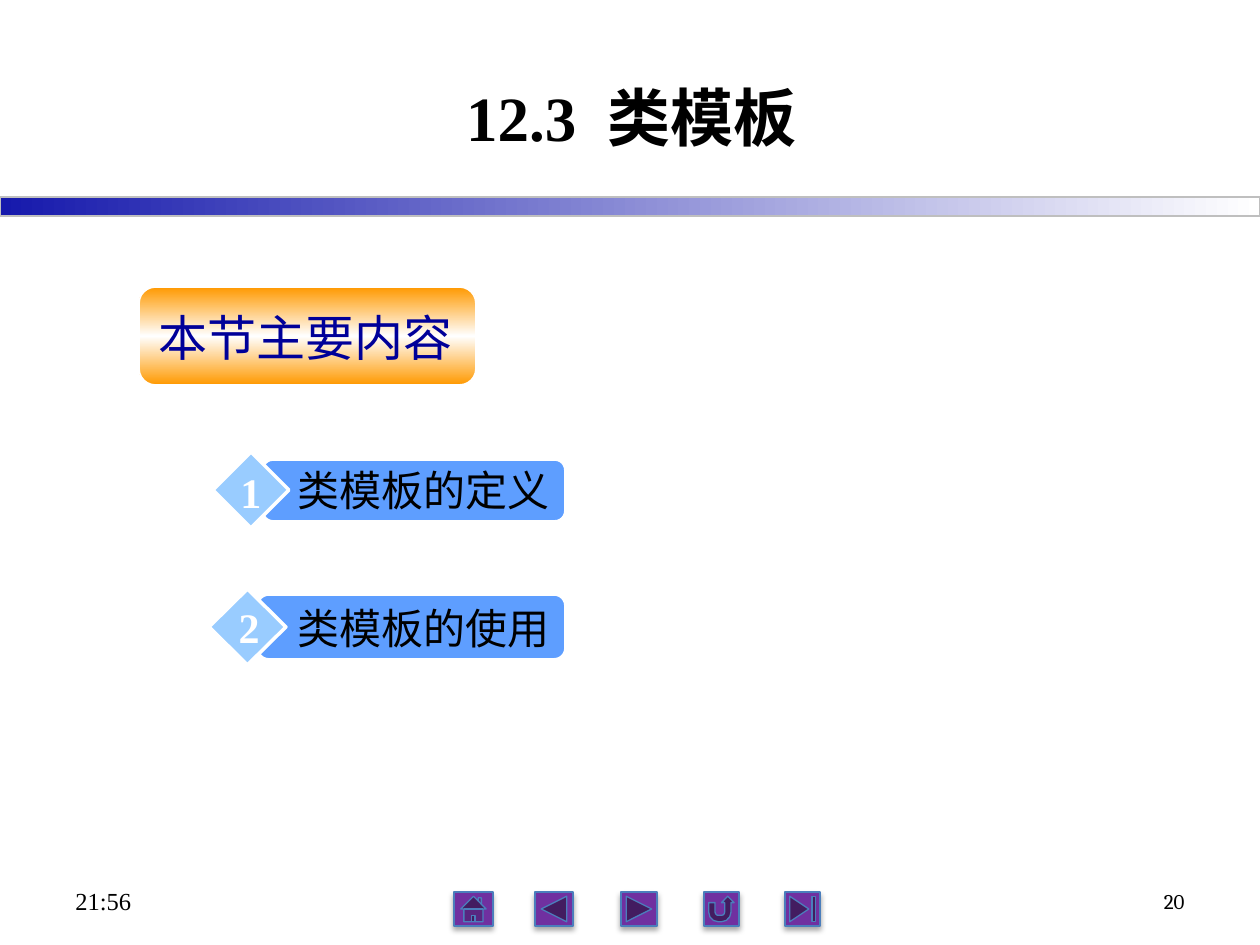
from lxml import etree
from pptx import Presentation
from pptx.dml.color import RGBColor
from pptx.enum.shapes import MSO_SHAPE
from pptx.enum.text import MSO_ANCHOR, PP_ALIGN
from pptx.oxml import parse_xml
from pptx.oxml.ns import nsdecls, qn
from pptx.util import Emu, Pt

EMU_PER_INCH, PX_PER_INCH = 914400, 126
LEFT, CENTER, RIGHT = PP_ALIGN.LEFT, PP_ALIGN.CENTER, PP_ALIGN.RIGHT
MIDDLE = MSO_ANCHOR.MIDDLE
RECT, ROUNDED = MSO_SHAPE.RECTANGLE, MSO_SHAPE.ROUNDED_RECTANGLE
DIAMOND = MSO_SHAPE.DIAMOND
HOME = MSO_SHAPE.ACTION_BUTTON_HOME
BACK = MSO_SHAPE.ACTION_BUTTON_BACK_OR_PREVIOUS
NEXT = MSO_SHAPE.ACTION_BUTTON_FORWARD_OR_NEXT
RETURN = MSO_SHAPE.ACTION_BUTTON_RETURN
END = MSO_SHAPE.ACTION_BUTTON_END

BLACK = RGBColor(0x00, 0x00, 0x00)
WHITE = RGBColor(0xFF, 0xFF, 0xFF)
GRAY = RGBColor(0xBF, 0xBF, 0xBF)
NAVY = RGBColor(0x00, 0x00, 0x99)
DEEP_BLUE = RGBColor(0x16, 0x19, 0xAC)
BAR_BLUE = RGBColor(0x5E, 0x9E, 0xFF)
PALE_BLUE = RGBColor(0x99, 0xCC, 0xFF)
ORANGE = RGBColor(0xFF, 0x99, 0x00)
PURPLE = RGBColor(0x70, 0x30, 0xA0)
BUTTON_EDGE = RGBColor(0x4B, 0x7E, 0xBC)

SERIF, CJK = "Times New Roman", "Noto Sans CJK SC"


def px(value):
    return Emu(round(value * EMU_PER_INCH / PX_PER_INCH))


class SlideBuilder:
    """Holds the text style and the current slide."""

    style = {"size": Pt(24), "name": SERIF, "bold": False}

    def __init__(self, presentation):
        self.slide = presentation.slides.add_slide(presentation.slide_layouts[5])

    def add_words(self, paragraph, text, color, **font_format):
        run = paragraph.add_run()
        run.text = text
        for key, value in {**self.style, **font_format}.items():
            setattr(run.font, key, value)
        run.font.color.rgb = color
        east_asian = etree.SubElement(run.font._element, qn("a:ea"))
        east_asian.set("typeface", CJK)

    def title(self, box, parts, **font_format):
        title = self.slide.shapes.title
        title.left, title.top, title.width, title.height = map(px, box)
        title.text_frame.vertical_anchor = MIDDLE
        paragraph = title.text_frame.paragraphs[0]
        paragraph.alignment = CENTER
        for text, font in parts:
            self.add_words(paragraph, text, BLACK, name=font, **font_format)

    def text(self, box, text, color=BLACK, align=LEFT, frame_format=None, **font_format):
        frame = self.slide.shapes.add_textbox(*map(px, box)).text_frame
        for key, value in {"word_wrap": True, **(frame_format or {})}.items():
            setattr(frame, key, value)
        paragraph = frame.paragraphs[0]
        paragraph.alignment = align
        self.add_words(paragraph, text, color, **font_format)

    def shape(self, kind, box, fill, edge=WHITE, edge_width=1):
        shape = self.slide.shapes.add_shape(kind, *map(px, box))
        shape.shadow.inherit = False
        if fill is not None:
            shape.fill.solid()
            shape.fill.fore_color.rgb = fill
        shape.line.color.rgb = edge
        shape.line.width = Pt(edge_width)
        return shape

    def gradient(self, kind, box, colors, angle, **edge_format):
        shape = self.shape(kind, box, None, **edge_format)
        shape.fill.gradient()
        shape.fill.gradient_angle = angle
        stops = shape._element.spPr.find(".//" + qn("a:gsLst"))
        for stop in list(stops):
            stops.remove(stop)
        for index, color in enumerate(colors):
            position = 100000 * index // (len(colors) - 1)
            stop = etree.SubElement(stops, qn("a:gs"), pos=str(position))
            etree.SubElement(stop, qn("a:srgbClr"), val=str(color))

    def button(self, kind, box):
        shape = self.shape(kind, box, PURPLE, BUTTON_EDGE, 0.75)
        effects = shape._element.spPr.find(qn("a:effectLst"))
        effects.append(parse_xml(
            f'<a:outerShdw {nsdecls("a")} blurRad="{Pt(3.1)}" dist="{Pt(1.8)}" '
            'dir="5400000" rotWithShape="0"><a:srgbClr val="000000">'
            '<a:alpha val="35000"/></a:srgbClr></a:outerShdw>'))


def main():
    presentation = Presentation()
    presentation.slide_width, presentation.slide_height = px(1260), px(945)
    builder = SlideBuilder(presentation)

    # Title and the band below it
    builder.title((140, 38, 983, 157), [("12.3  ", SERIF), ("类模板", CJK)],
                  size=Pt(36), bold=True)
    builder.gradient(RECT, (0, 197, 1260, 19), [DEEP_BLUE, WHITE], 0,
                     edge=GRAY, edge_width=0.75)

    # Navigation buttons
    for kind, left, width in [(HOME, 454, 39), (BACK, 535, 38), (NEXT, 621, 36),
                              (RETURN, 704, 35), (END, 785, 35)]:
        builder.button(kind, (left, 892, width, 34))

    # Section heading
    low_text = {"margin_top": px(11), "margin_bottom": px(1)}
    builder.gradient(ROUNDED, (139, 287, 337, 98), [ORANGE, WHITE, ORANGE], 90)
    builder.text((146, 296, 323, 72), "本节主要内容", NAVY,
                 frame_format=low_text, size=Pt(28), name="Arial")

    # Numbered topics: bar, diamond, label and number
    topics = [
        ("1", "类模板的定义", (263, 460, 302, 61), (213, 452, 76, 76), 454, (223, 460), low_text),
        ("2", "类模板的使用", (258, 595, 307, 64), (209, 589, 77, 76), 596, (221, 595), None),
    ]
    for number, topic, bar, diamond, label_top, number_at, label_format in topics:
        builder.shape(ROUNDED, bar, BAR_BLUE)
        builder.shape(DIAMOND, diamond, PALE_BLUE, edge_width=2)
        builder.text((285, label_top, 281, 63), topic, frame_format=label_format)
        builder.text((*number_at, 56, 63), number, WHITE, CENTER,
                     {"word_wrap": False}, bold=True)

    # Time and slide number
    centered = {"vertical_anchor": MIDDLE}
    builder.text((63, 876, 294, 50), "21:56", frame_format=centered, size=Pt(14))
    builder.text((903, 876, 294, 50), "20", align=RIGHT, frame_format=centered,
                 size=Pt(12), name="Cambria")

    presentation.save("out.pptx")


if __name__ == "__main__":
    main()
